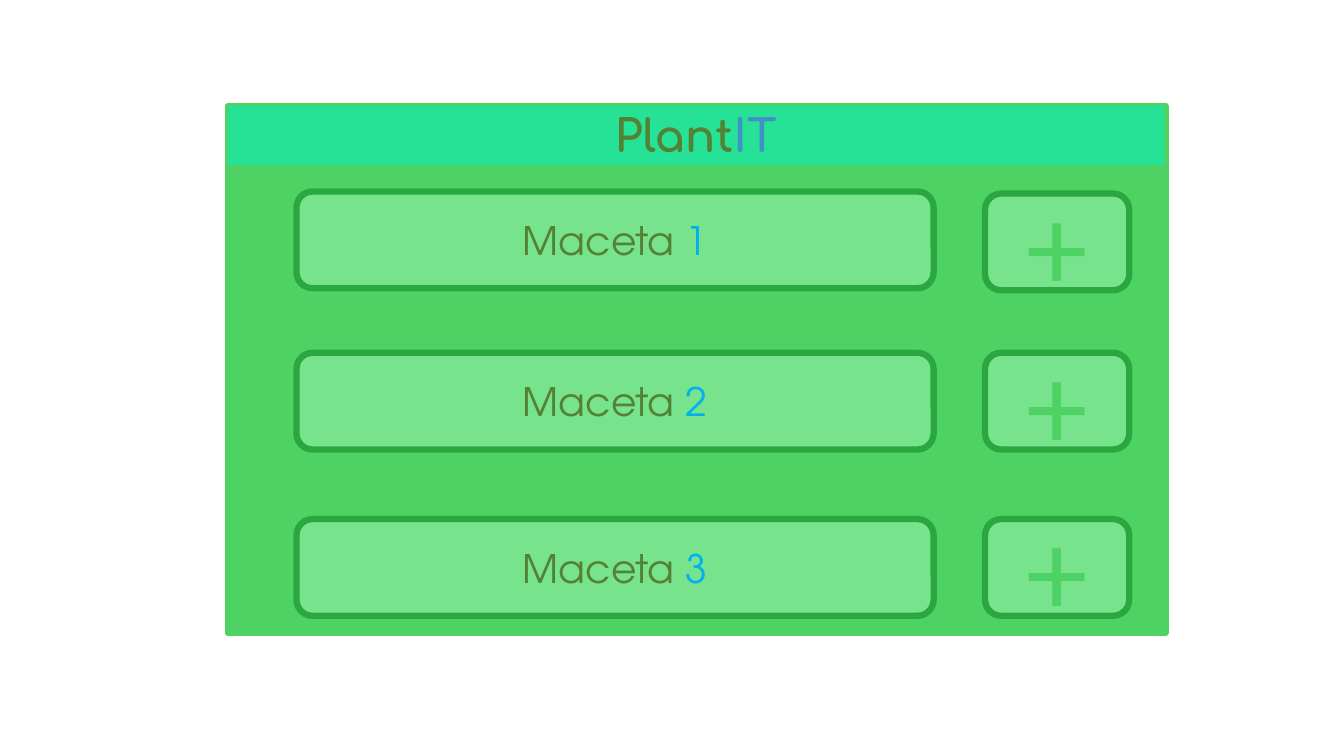
from pptx import Presentation
from pptx.dml.color import RGBColor
from pptx.enum import shapes, text
from pptx.util import Emu, Pt

PX = 9144  # 100 px to the inch

SCREEN_GREEN = RGBColor(0x4E, 0xD2, 0x64)
HEADER_TEAL = RGBColor(0x26, 0xE2, 0x96)
BUTTON_GREEN = RGBColor(0x77, 0xE3, 0x8C)
BORDER_GREEN = RGBColor(0x2A, 0xA8, 0x3F)
LEAF_GREEN = RGBColor(0x54, 0x82, 0x35)
LOGO_BLUE = RGBColor(0x42, 0x91, 0xC6)
NUMBER_BLUE = RGBColor(0x00, 0xB0, 0xF0)

RECT = shapes.MSO_SHAPE.RECTANGLE
ROUNDED = shapes.MSO_SHAPE.ROUNDED_RECTANGLE


def add_run(paragraph, words, *, font, size, color, bold=False):
    run = paragraph.add_run()
    run.text = words
    run.font.name = font
    run.font.size = Pt(size)
    run.font.bold = bold
    run.font.color.rgb = color


class AppScreen:
    heading = dict(font="Comfortaa", size=32, bold=True)
    label = dict(font="TeX Gyre Adventor", size=28)
    symbol = dict(font="Calibri", size=88)

    def __init__(self, slide):
        self.slide = slide

    def paint(self, shape, fill, line, weight):
        shape.fill.solid()
        shape.fill.fore_color.rgb = fill
        shape.line.color.rgb = line
        shape.line.width = Pt(weight)

    def caption(self, shape, parts, style):
        frame = shape.text_frame
        frame.word_wrap = True
        frame.auto_size = text.MSO_AUTO_SIZE.NONE
        frame.vertical_anchor = text.MSO_ANCHOR.MIDDLE
        paragraph = frame.paragraphs[0]
        paragraph.alignment = text.PP_ALIGN.CENTER
        for words, color in parts:
            add_run(paragraph, words, color=color, **style)

    def box(self, kind, left, top, width, height, fill, line):
        shape = self.slide.shapes.add_shape(
            kind, *(Emu(n * PX) for n in (left, top, width, height)))
        shape.shadow.inherit = False
        self.paint(shape, fill, line, 4.5)
        return shape

    def header(self, left, top, width, height, parts):
        title = self.slide.shapes.title
        title.left, title.top, title.width, title.height = (
            Emu(n * PX) for n in (left, top, width, height))
        self.paint(title, HEADER_TEAL, SCREEN_GREEN, 1)
        self.caption(title, parts, self.heading)
        # Bring the header in front of the screen
        title.element.getparent().append(title.element)

    def button(self, left, top, width, parts, style):
        button = self.box(ROUNDED, left, top, width, 96, BUTTON_GREEN, BORDER_GREEN)
        self.caption(button, parts, style)


def main():
    deck = Presentation()
    deck.slide_width, deck.slide_height = Emu(1333 * PX), Emu(750 * PX)
    app = AppScreen(deck.slides.add_slide(deck.slide_layouts[5]))

    # Screen and header
    app.box(RECT, 226, 105, 930, 523, SCREEN_GREEN, SCREEN_GREEN)
    app.header(225, 104, 930, 60, [("Plant", LEAF_GREEN), ("IT", LOGO_BLUE)])

    # Pot buttons, each with its add button
    rows = [(190, 192), (350, 350), (515, 515)]
    for number, (pot_top, add_top) in enumerate(rows, start=1):
        pot = [("Maceta", LEAF_GREEN), (f" {number}", NUMBER_BLUE)]
        app.button(294, pot_top, 632, pot, app.label)
        app.button(977, add_top, 143, [("+", SCREEN_GREEN)], app.symbol)

    deck.save("out.pptx")


if __name__ == "__main__":
    main()
